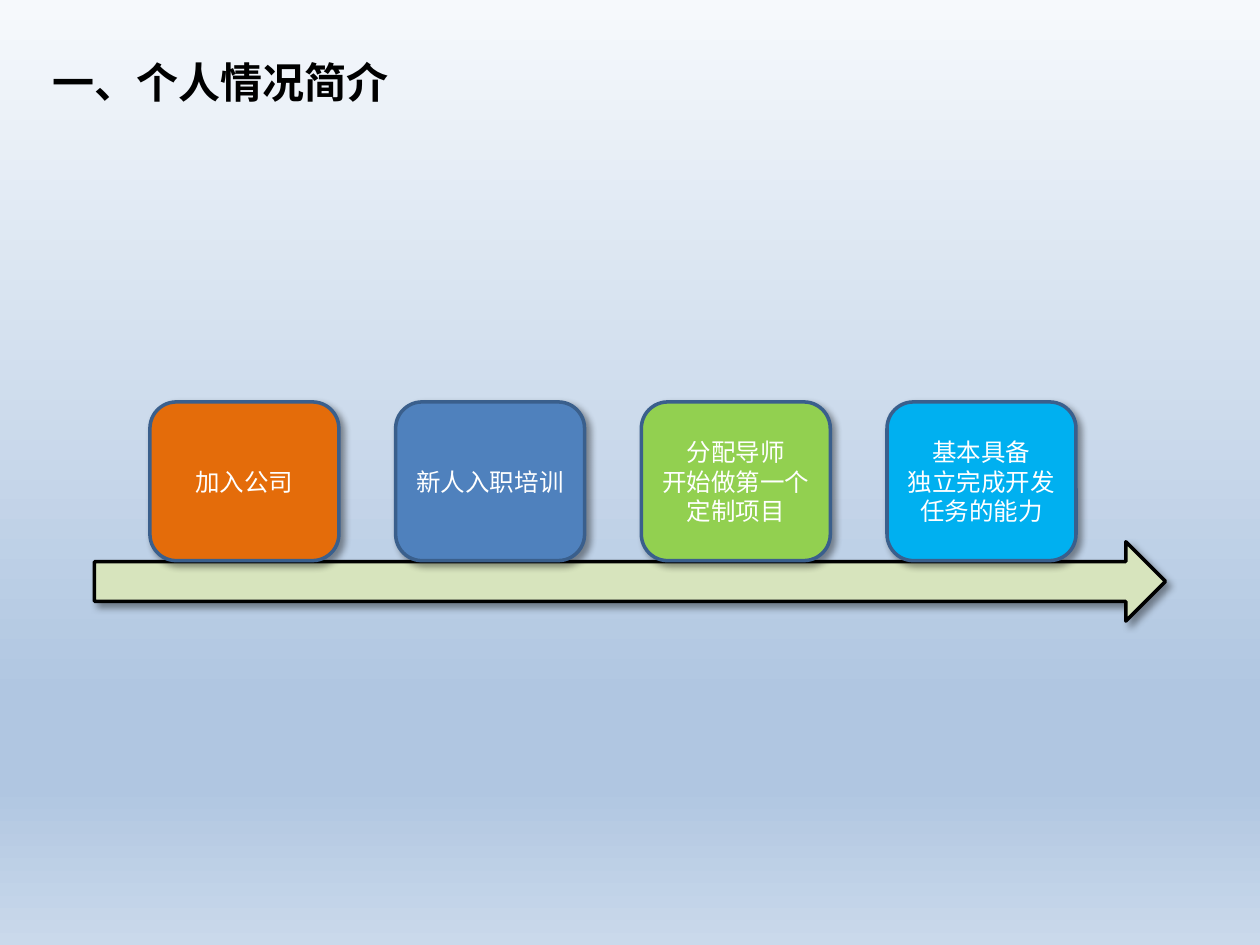
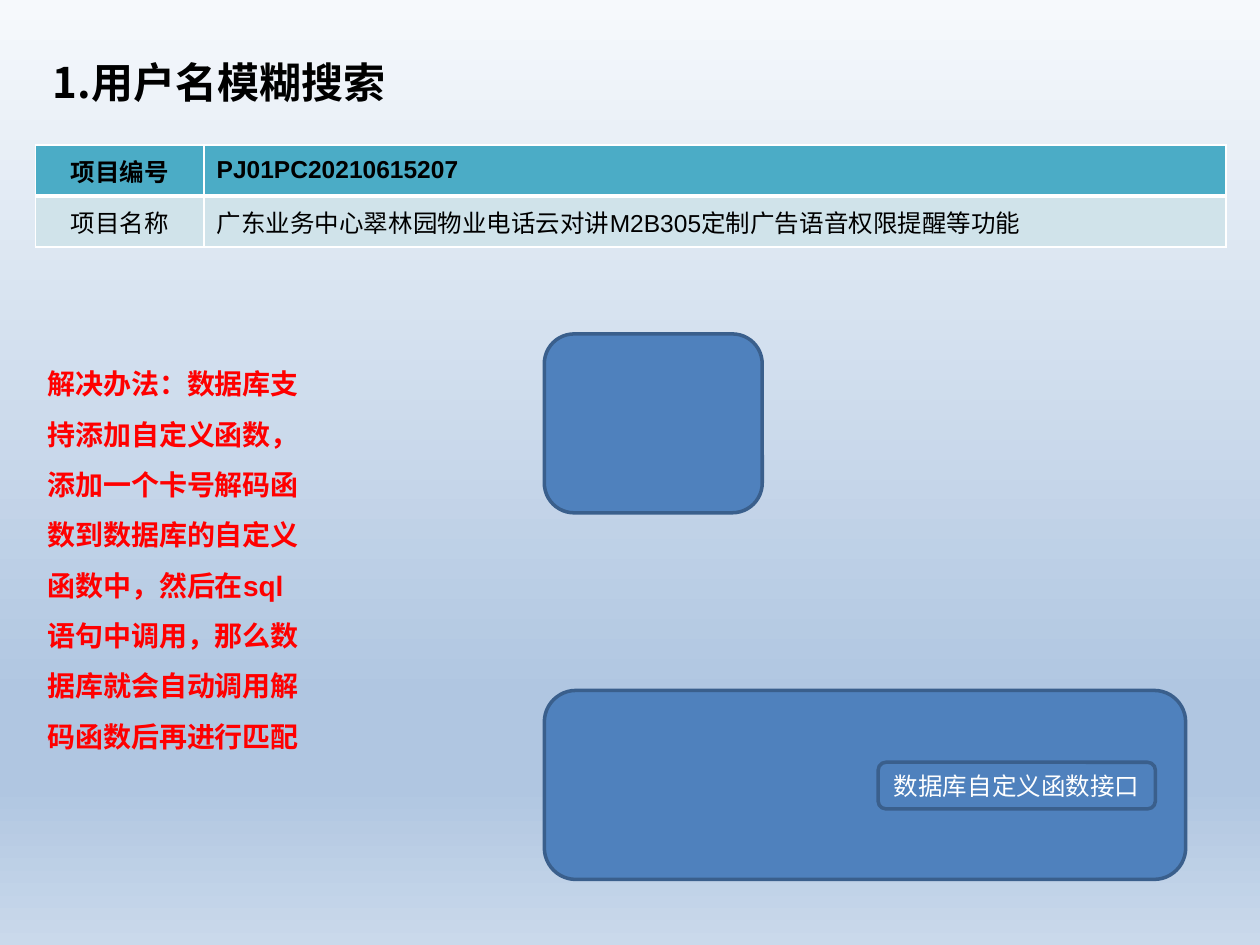
from dataclasses import dataclass

from lxml import etree
from pptx import Presentation
from pptx.dml.color import RGBColor
from pptx.enum import shapes, text
from pptx.oxml import ns
from pptx.util import Inches, Pt


@dataclass(frozen=True)
class Theme:
    """Colours, fonts and type sizes of the deck."""
    black: str = "000000"
    white: str = "FFFFFF"
    red: str = "FF0000"
    blue: str = "4F81BD"
    edge: str = "3A5F8C"
    orange: str = "E46C0A"
    green: str = "92D050"
    sky: str = "00B0F0"
    pale: str = "D7E4BD"
    head: str = "4BACC6"
    row: str = "D0E3EA"
    stops: tuple = ((0, "F6F9FC"), (74, "B0C6E1"), (83, "B0C6E1"), (100, "CAD9EB"))
    latin: str = "Arial"
    han: str = "Noto Sans CJK SC"
    title: int = 24
    note: int = 16
    label: int = 14


T = Theme()
MID = text.MSO_ANCHOR.MIDDLE
LEFT = text.PP_ALIGN.LEFT
CENTER = text.PP_ALIGN.CENTER
ROUND = shapes.MSO_SHAPE.ROUNDED_RECTANGLE
ARROW = shapes.MSO_SHAPE.RIGHT_ARROW


def rgb(code):
    """Turn a hex code into a colour."""
    return RGBColor.from_string(code)


def add(parent, tag, **attrs):
    """Append an XML child with the given attributes."""
    child = etree.SubElement(parent, ns.qn(tag))
    for key, value in attrs.items():
        child.set(key, str(value))
    return child


def style(frame, size, color, bold=False, font=T.latin, align=LEFT, space=None):
    """Format every paragraph and run of a text frame."""
    for para in frame.paragraphs:
        para.alignment = align
        if space:
            para.line_spacing = space
        for run in para.runs:
            run.font.size, run.font.bold, run.font.name = Pt(size), bold, font
            run.font.color.rgb = rgb(color)
            add(run.font._element, "a:ea", typeface=T.han)


def set_master(deck):
    """Give all slides the gradient background and the title's place."""
    master = deck.slide_master
    fill = master.background.fill
    fill.gradient()
    fill.gradient_angle = 270
    stops = master.element.find(".//" + ns.qn("a:gsLst"))
    for old in list(stops):
        stops.remove(old)
    for pos, code in T.stops:
        add(add(stops, "a:gs", pos=pos * 1000), "a:srgbClr", val=code)
    layout = deck.slide_layouts[5]
    title = layout.placeholders[0]
    title.left, title.top = Inches(0.32), Inches(0.36)
    title.width, title.height = Inches(7.67), Inches(0.63)
    return layout


def add_slide(deck, layout, title):
    """Add a slide with its title."""
    slide = deck.slides.add_slide(layout)
    frame = slide.shapes.title.text_frame
    frame.text = title
    frame.vertical_anchor = MID
    style(frame, T.title, T.black, True, T.han, space=0.9)
    return slide


def add_shadow(shape):
    """Cast a soft shadow to the lower right."""
    effects = shape._element.spPr.find(ns.qn("a:effectLst"))
    outer = add(effects, "a:outerShdw", blurRad=Pt(4), dist=Pt(3),
                dir=45 * 60000, algn="tl", rotWithShape=0)
    add(add(outer, "a:srgbClr", val=T.black), "a:alpha", val=40000)


def add_box(slide, kind, box, fill, words="", edge=T.edge, shadow=False):
    """Draw a filled shape with an optional centred label."""
    shape = slide.shapes.add_shape(kind, *map(Inches, box))
    shape.shadow.inherit = False
    shape.fill.solid()
    shape.fill.fore_color.rgb = rgb(fill)
    shape.line.color.rgb = rgb(edge)
    shape.line.width = Pt(2)
    if shadow:
        add_shadow(shape)
    if words:
        frame = shape.text_frame
        frame.text = words
        frame.vertical_anchor = MID
        style(frame, T.label, T.white, align=CENTER)


def add_note(slide, box, words):
    """Add a bold red note with wide line spacing."""
    frame = slide.shapes.add_textbox(*map(Inches, box)).text_frame
    frame.word_wrap = True
    frame.auto_size = text.MSO_AUTO_SIZE.SHAPE_TO_FIT_TEXT
    frame.text = words
    style(frame, T.note, T.red, True, space=1.5)


def set_edges(cell, widths):
    """Draw white cell borders, given as left, right, top, bottom."""
    props = cell._tc.get_or_add_tcPr()
    for side, width in zip("LRTB", widths):
        line = add(props, "a:ln" + side, w=Pt(width))
        add(add(line, "a:solidFill"), "a:srgbClr", val=T.white)


def add_grid(slide, box, widths, rows):
    """Add a table with a coloured head row and centred first column."""
    grid = slide.shapes.add_table(len(rows), len(widths), *map(Inches, box)).table
    for col, width in zip(grid.columns, widths):
        col.width = Inches(width)
    for r, row in enumerate(rows):
        head = r == 0
        for c, words in enumerate(row):
            cell = grid.cell(r, c)
            set_edges(cell, (1, 1, 1, 3) if head else (1, 1, 3, 1))
            cell.fill.solid()
            cell.fill.fore_color.rgb = rgb(T.head if head else T.row)
            cell.vertical_anchor = MID
            cell.text_frame.text = words
            style(cell.text_frame, T.label, T.black, head,
                  align=LEFT if c else CENTER)


def add_path(slide):
    """Draw the career steps along an arrow."""
    add_box(slide, ARROW, (0.75, 4.3, 8.5, 0.63), T.pale,
            edge=T.black, shadow=True)
    steps = (("加入公司", T.orange),
             ("新人入职培训", T.blue),
             ("分配导师\n开始做第一个定制项目", T.green),
             ("基本具备\n独立完成开发任务的能力", T.sky))
    for i, (words, fill) in enumerate(steps):
        add_box(slide, ROUND, (1.19 + 1.95 * i, 3.19, 1.5, 1.26), fill,
                words, shadow=True)


def add_search(slide):
    """Show the project table, the solution and its blocks."""
    add_grid(slide, (0.28, 1.15, 9.45, 0.81), (1.34, 8.11), (
        ("项目编号", "PJ01PC20210615207"),
        ("项目名称", "广东业务中心翠林园物业电话云对讲M2B305定制广告语音权限提醒等功能")))
    add_note(slide, (0.28, 2.73, 2.2, 3.33),
             "解决办法：数据库支持添加自定义函数，添加一个卡号解码函数到数据库的"
             "自定义函数中，然后在sql语句中调用，那么数据库就会自动调用解码函数后再进行匹配")
    add_box(slide, ROUND, (4.32, 2.65, 1.73, 1.42), T.blue)
    add_box(slide, ROUND, (4.32, 5.48, 5.09, 1.5), T.blue)
    add_box(slide, ROUND, (6.97, 6.05, 2.2, 0.37), T.blue, "数据库自定义函数接口")


def main():
    """Build and save the deck."""
    deck = Presentation()
    deck.slide_width, deck.slide_height = Inches(10), Inches(7.5)
    layout = set_master(deck)
    add_path(add_slide(deck, layout, "一、个人情况简介"))
    add_search(add_slide(deck, layout, "1.用户名模糊搜索"))
    deck.save("out.pptx")


main()
